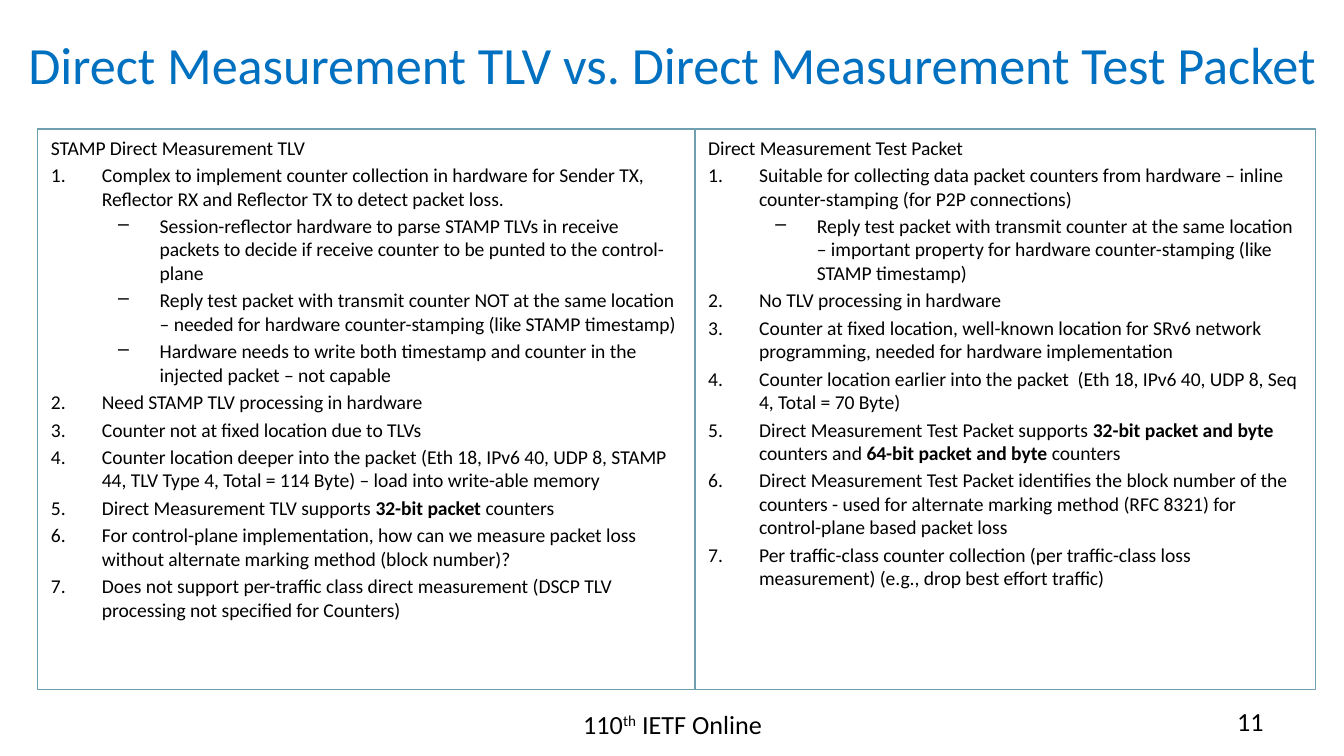
from lxml import etree
from pptx import Presentation
from pptx.dml.color import RGBColor
from pptx.enum.shapes import MSO_SHAPE
from pptx.enum.text import MSO_ANCHOR as ANCHOR, PP_ALIGN as ALIGN
from pptx.oxml.ns import qn
from pptx.util import Inches, Pt

COLORS = {"title": "0070C0", "text": "000000", "border": "6EA0B0"}

# Marker element, its attributes, left margin and hanging indent per kind
MARKERS = {
    "number": ("a:buAutoNum", {"type": "arabicPeriod"}, 0.38, 0.38),
    "dash": ("a:buChar", {"char": "–"}, 0.81, 0.31),
}

# Each paragraph is (kind, text); ** switches bold on and off
LEFT = [
    ("heading", "STAMP Direct Measurement TLV"),
    ("number", "Complex to implement counter collection in hardware for Sender TX, Reflector RX and Reflector TX to detect packet loss."),
    ("dash", "Session-reflector hardware to parse STAMP TLVs in receive packets to decide if receive counter to be punted to the control-plane"),
    ("dash", "Reply test packet with transmit counter NOT at the same location – needed for hardware counter-stamping (like STAMP timestamp)"),
    ("dash", "Hardware needs to write both timestamp and counter in the injected packet – not capable"),
    ("number", "Need STAMP TLV processing in hardware"),
    ("number", "Counter not at fixed location due to TLVs"),
    ("number", "Counter location deeper into the packet (Eth 18, IPv6 40, UDP 8, STAMP 44, TLV Type 4, Total = 114 Byte) – load into write-able memory"),
    ("number", "Direct Measurement TLV supports **32-bit packet** counters"),
    ("number", "For control-plane implementation, how can we measure packet loss without alternate marking method (block number)?"),
    ("number", "Does not support per-traffic class direct measurement (DSCP TLV processing not specified for Counters)"),
]
RIGHT = [
    ("heading", "Direct Measurement Test Packet"),
    ("number", "Suitable for collecting data packet counters from hardware – inline counter-stamping (for P2P connections)"),
    ("dash", "Reply test packet with transmit counter at the same location – important property for hardware counter-stamping (like STAMP timestamp)"),
    ("number", "No TLV processing in hardware"),
    ("number", "Counter at fixed location, well-known location for SRv6 network programming, needed for hardware implementation"),
    ("number", "Counter location earlier into the packet  (Eth 18, IPv6 40, UDP 8, Seq 4, Total = 70 Byte)"),
    ("number", "Direct Measurement Test Packet supports **32-bit packet and byte **counters and **64-bit packet and byte **counters"),
    ("number", "Direct Measurement Test Packet identifies the block number of the counters - used for alternate marking method (RFC 8321) for control-plane based packet loss"),
    ("number", "Per traffic-class counter collection (per traffic-class loss measurement) (e.g., drop best effort traffic)"),
]


def add_run(p, text, size=10.5, color="text", bold=False, baseline=0):
    r = p.add_run()
    r.text = text
    r.font.name = "Calibri"
    r.font.size = Pt(size)
    r.font.bold = bold
    r.font.color.rgb = RGBColor.from_string(COLORS[color])
    if baseline:
        r.font._element.set("baseline", str(baseline * 1000))


# Widescreen 16:9 slide
prs = Presentation()
prs.slide_width, prs.slide_height = Inches(10), Inches(10 * 9 / 16)
s = prs.slides.add_slide(prs.slide_layouts[6])

# Title, footer and page number
for box, align, anchor, size, color, runs in [
    ((0, 0, 10, 0.94), ALIGN.CENTER, ANCHOR.MIDDLE, 28, "title",
     [("Direct Measurement TLV vs. Direct Measurement Test Packet", 0)]),
    ((3.42, 5.22, 3.17, 0.39), ALIGN.CENTER, ANCHOR.TOP, 14, "text",
     [("110", 0), ("th", 30), (" IETF Online", 0)]),
    ((7.17, 5.2, 2.33, 0.39), ALIGN.RIGHT, ANCHOR.TOP, 14, "text", [("11", 0)]),
]:
    tf = s.shapes.add_textbox(*map(Inches, box)).text_frame
    tf.word_wrap = True
    tf.vertical_anchor = anchor
    p = tf.paragraphs[0]
    p.alignment = align
    for text, baseline in runs:
        add_run(p, text, size=size, color=color, baseline=baseline)

# Two comparison panels side by side
for left, width, paragraphs in [(0.28, 4.89, LEFT), (5.17, 4.62, RIGHT)]:
    sp = s.shapes.add_shape(MSO_SHAPE.RECTANGLE, Inches(left), Inches(0.96),
                            Inches(width), Inches(4.17))
    sp.shadow.inherit = False
    sp.fill.background()
    sp.line.color.rgb = RGBColor.from_string(COLORS["border"])
    sp.line.width = Pt(0.75)
    tf = sp.text_frame
    tf.word_wrap = True
    tf.vertical_anchor = ANCHOR.TOP
    for i, (kind, text) in enumerate(paragraphs):
        p = tf.add_paragraph() if i else tf.paragraphs[0]
        p.alignment = ALIGN.LEFT
        if kind in MARKERS:
            tag, attributes, margin, hanging = MARKERS[kind]
            pPr = p._p.get_or_add_pPr()
            pPr.set("marL", str(Inches(margin)))
            pPr.set("indent", str(-Inches(hanging)))
            etree.SubElement(pPr, qn(tag), attributes)
            p.level = 1 if kind == "dash" else 0
        if i:
            p.space_before = Pt(2.1)
        for j, part in enumerate(text.split("**")):
            add_run(p, part, bold=j % 2 == 1)

prs.save("out.pptx")
